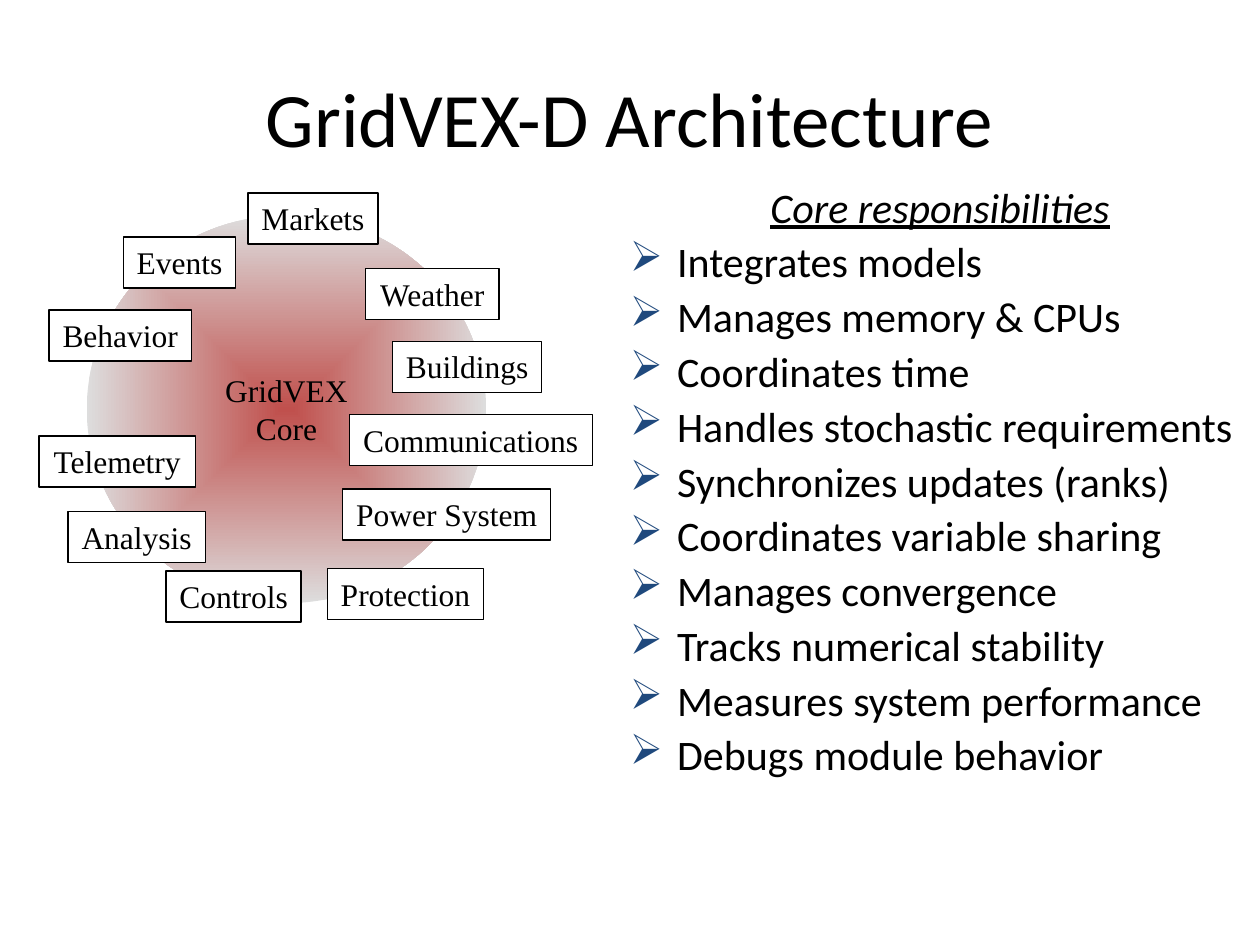
from dataclasses import dataclass

import pptx
import pptx.dml.color
import pptx.enum.shapes
import pptx.enum.text
import pptx.oxml
import pptx.oxml.ns
import pptx.util

Cm, Pt = pptx.util.Cm, pptx.util.Pt
ALIGN = pptx.enum.text.PP_ALIGN
ANCHOR = pptx.enum.text.MSO_ANCHOR
SHAPE = pptx.enum.shapes.MSO_SHAPE


@dataclass(frozen=True)
class Theme:
    ink: str = "000000"
    paper: str = "FFFFFF"
    bullet: str = "1F497D"
    core: str = "C0504D"
    rim: str = "DDDDDD"
    sans: str = "Calibri"
    serif: str = "Times New Roman"
    title: float = 44
    body: float = 24
    label: float = 18


@dataclass(frozen=True)
class Module:
    name: str
    left: float
    top: float
    width: float
    height: float = 1.03


THEME = Theme()
MODULES = [
    Module("Weather", 7.37, 5.41, 2.69),
    Module("Power System", 6.91, 9.86, 4.19),
    Module("Communications", 7.04, 8.36, 4.9),
    Module("Controls", 3.35, 11.51, 2.72),
    Module("Telemetry", 0.79, 8.79, 3.15),
    Module("Behavior", 0.99, 6.25, 2.87),
    Module("Markets", 5, 3.89, 2.62),
    Module("Events", 2.49, 4.78, 2.26),
    Module("Buildings", 7.92, 6.88, 3),
    Module("Analysis", 1.37, 10.31, 2.77),
    Module("Protection", 6.6, 11.46, 3.15),
]
RESPONSIBILITIES = [
    "Integrates models",
    "Manages memory & CPUs",
    "Coordinates time",
    "Handles stochastic requirements",
    "Synchronizes updates (ranks)",
    "Coordinates variable sharing",
    "Manages convergence",
    "Tracks numerical stability",
    "Measures system performance",
    "Debugs module behavior",
]


def rgb(value: str):
    return pptx.dml.color.RGBColor.from_string(value)


def xml(body: str):
    """Build one element in the DrawingML namespace."""
    tag, rest = body[:-2].partition(" ")[::2] if body.endswith("/>") else (None, None)
    ns = pptx.oxml.ns.nsdecls("a")
    return pptx.oxml.parse_xml(f"{tag} {ns} {rest}/>")


def write(tf, text: str, *, size: float, font: str, align=ALIGN.CENTER,
          italic: bool = False, underline: bool = False, first: bool = True):
    """Write one paragraph, in the first place or after the others."""
    p = tf.paragraphs[0] if first else tf.add_paragraph()
    p.alignment = align
    r = p.add_run()
    r.text = text
    r.font.size, r.font.name = Pt(size), font
    r.font.italic, r.font.underline = italic, underline
    r.font.color.rgb = rgb(THEME.ink)
    return p


def add_box(s, left: float, top: float, width: float, height: float):
    tf = s.shapes.add_textbox(Cm(left), Cm(top), Cm(width), Cm(height)).text_frame
    tf.word_wrap = True
    return tf


def add_core(s) -> None:
    sp = s.shapes.add_shape(SHAPE.OVAL, Cm(1.75), Cm(4.34), Cm(8.05), Cm(7.82))
    sp.shadow.inherit = False
    sp.line.fill.background()
    # Gradient from the centre outwards
    sp.fill.gradient()
    for stop, color in zip(sp.fill.gradient_stops, (THEME.core, THEME.rim)):
        stop.color.rgb = rgb(color)
    lin = sp.element.spPr.find(".//" + pptx.oxml.ns.qn("a:lin"))
    radial = xml('<a:path path="shape"/>')
    radial.append(xml('<a:fillToRect l="50000" t="50000" r="50000" b="50000"/>'))
    lin.getparent().replace(lin, radial)
    tf = sp.text_frame
    tf.word_wrap = False
    tf.vertical_anchor = ANCHOR.MIDDLE
    for i, line in enumerate(("GridVEX", "Core")):
        write(tf, line, size=THEME.label, font=THEME.serif, first=i == 0)


def add_module(s, m: Module) -> None:
    sp = s.shapes.add_shape(SHAPE.RECTANGLE, Cm(m.left), Cm(m.top), Cm(m.width), Cm(m.height))
    sp.shadow.inherit = False
    sp.fill.solid()
    sp.fill.fore_color.rgb = rgb(THEME.paper)
    sp.line.color.rgb = rgb(THEME.ink)
    sp.line.width = Pt(0.75)
    tf = sp.text_frame
    tf.word_wrap = False
    tf.auto_size = pptx.enum.text.MSO_AUTO_SIZE.SHAPE_TO_FIT_TEXT
    tf.vertical_anchor = ANCHOR.TOP
    write(tf, m.name, size=THEME.label, font=THEME.serif)


def add_responsibilities(s) -> None:
    tf = add_box(s, 12.7, 3.81, 12.5, 12.9)
    tf.margin_left = tf.margin_right = tf.margin_top = tf.margin_bottom = 0
    write(tf, "Core responsibilities", size=THEME.body, font=THEME.sans,
          italic=True, underline=True)
    for text in RESPONSIBILITIES:
        write(tf, text, size=THEME.body, font=THEME.sans, align=ALIGN.LEFT, first=False)
    for i, p in enumerate(tf.paragraphs):
        p.line_spacing = 0.85
        p.space_before = Pt(6.8)
        ppr = p._p.get_or_add_pPr()
        ppr.set("marL", str(Cm(0.95)))
        ppr.set("indent", str(-Cm(0.95)))
        if i:
            color = xml("<a:buClr />")
            color.append(xml(f'<a:srgbClr val="{THEME.bullet}"/>'))
            ppr.append(color)
            ppr.append(xml('<a:buChar char="➢"/>'))


def main() -> None:
    prs = pptx.Presentation()
    prs.slide_width, prs.slide_height = Cm(25.4), Cm(19.05)
    s = prs.slides.add_slide(prs.slide_layouts[6])

    # Title
    tf = add_box(s, 1.27, 0.76, 22.86, 3.18)
    tf.vertical_anchor = ANCHOR.MIDDLE
    write(tf, "GridVEX-D Architecture", size=THEME.title, font=THEME.sans)

    # Right column
    add_responsibilities(s)

    # Core with its modules around it
    add_core(s)
    for m in MODULES:
        add_module(s, m)

    prs.save("out.pptx")


if __name__ == "__main__":
    main()
